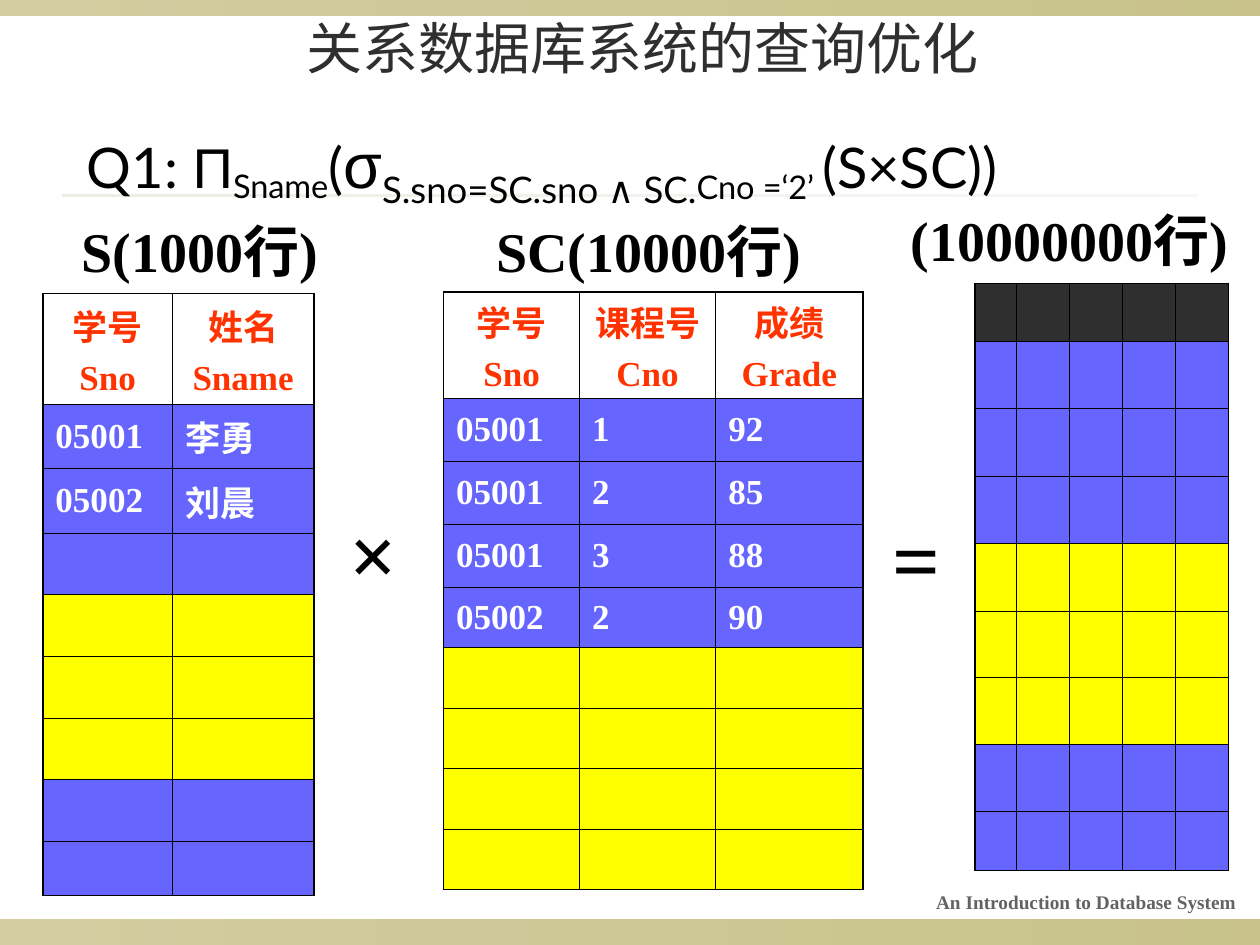
"""Build the slide on query optimisation with a Cartesian product of two tables."""
import dataclasses
import typing

import lxml.etree
import pptx
import pptx.dml.color
import pptx.enum.shapes
import pptx.enum.text
import pptx.oxml.ns
import pptx.slide
import pptx.util

Inches = pptx.util.Inches
Pt = pptx.util.Pt
qn = pptx.oxml.ns.qn
ALIGN = pptx.enum.text.PP_ALIGN
MIDDLE = pptx.enum.text.MSO_ANCHOR.MIDDLE
TOP = pptx.enum.text.MSO_ANCHOR.TOP

COLORS = {
    "olive": "918415", "rule": "DCD9CC", "dark": "2F2F2F", "black": "000000",
    "gray": "636363", "red": "FF3300", "white": "FFFFFF",
    "blue": "6666FF", "yellow": "FFFF00",
}
SERIF = "Times New Roman"
THIN, THICK = 0.45, 1.08


@dataclasses.dataclass
class Band:
    box: tuple[float, float, float, float]
    color: str
    alphas: tuple[int, int]


@dataclasses.dataclass
class Run:
    text: str
    size: float = 32
    font: str = SERIF
    bold: bool = False
    color: str = "black"
    baseline: int = 0


@dataclasses.dataclass
class Label:
    box: tuple[float, float, float, float]
    runs: list[Run]
    para: dict[str, typing.Any] = dataclasses.field(default_factory=dict)
    anchor: typing.Any = TOP
    wrap: bool = False
    margin: float = 0


@dataclasses.dataclass
class Grid:
    left: float
    top: float
    cols: list[float]
    rows: list[float]
    fills: list[str | None]
    texts: list[list[str]]


BANDS = [
    Band((0, 7.3, 10, 0.2), "olive", (40, 50)),
    Band((0, 0, 10, 0.12), "olive", (40, 50)),
    Band((0.5, 1.54, 9, 0.02), "rule", (50, 20)),
]
FORMULA = [
    Run("Q1: ", font="Lato"),
    Run("Π", font="Arial"),
    Run("Sname", font="Lato", baseline=-18),
    Run("(", font="Lato"),
    Run("σ", 36, "Arial"),
    Run("S.sno=SC.sno ∧ SC.", 36, "Lato", baseline=-25),
    Run("Cno =‘2’ ", font="Lato", baseline=-20),
    Run("(S×SC))", font="Lato"),
]
CENTER = {"alignment": ALIGN.CENTER}
OPERATOR = {"alignment": ALIGN.CENTER, "space_before": Pt(30)}
LABELS = [
    Label((0.75, 0.04, 8.5, 0.67), [Run("关系数据库系统的查询优化", font="Lato", color="dark")],
          CENTER, MIDDLE, True, 0.2),
    Label((0.25, 0.74, 9.58, 1.1), FORMULA, {"line_spacing": 1.3}, wrap=True, margin=0.34),
    Label((5.83, 7, 4.08, 0.31),
          [Run("An Introduction to Database System", 11, bold=True, color="gray")],
          {"alignment": ALIGN.RIGHT}, MIDDLE, True),
    Label((0.42, 1.67, 2.33, 0.64), [Run("S(1000行)", bold=True)], CENTER, wrap=True),
    Label((3.84, 1.67, 3, 0.64), [Run("SC(10000行)", bold=True)], wrap=True),
    Label((2.67, 3.93, 0.58, 0.9), [Run("×", 48, bold=True)], OPERATOR),
    Label((6.98, 3.97, 0.58, 0.9), [Run("=", 48, bold=True)], OPERATOR),
    Label((7.13, 1.58, 3.1, 0.64), [Run("(10000000行)", bold=True)], wrap=True),
]
GRIDS = [
    Grid(0.34, 2.33, [1.03, 1.12], [0.88] + [0.51] * 2 + [0.49] * 5 + [0.43],
         [None] + ["blue"] * 3 + ["yellow"] * 3 + ["blue"] * 2,
         [["学号\nSno", "姓名\nSname"], ["05001", "李勇"], ["05002", "刘晨"]]),
    Grid(3.52, 2.32, [1.08, 1.08, 1.17], [0.84] + [0.5] * 3 + [0.48] * 5,
         [None] + ["blue"] * 4 + ["yellow"] * 4,
         [["学号\nSno", "课程号\nCno", "成绩\nGrade"], ["05001", "1", "92"],
          ["05001", "2", "85"], ["05001", "3", "88"], ["05002", "2", "90"]]),
    Grid(7.74, 2.25, [0.33] + [0.42] * 4, [0.46] + [0.53, 0.54] * 2 + [0.53] * 3 + [0.47],
         ["dark"] + ["blue"] * 3 + ["yellow"] * 3 + ["blue"] * 2, []),
]


def rgb(name: str) -> pptx.dml.color.RGBColor:
    """Return the named colour."""
    return pptx.dml.color.RGBColor.from_string(COLORS[name])


def apply(target: typing.Any, values: dict[str, typing.Any]) -> None:
    """Set each named attribute on the target."""
    for name, value in values.items():
        setattr(target, name, value)


def add_run(p: typing.Any, run: Run) -> None:
    """Append a formatted run to a paragraph."""
    r = p.add_run()
    apply(r, {"text": run.text})
    apply(r.font, {"size": Pt(run.size), "name": run.font, "bold": run.bold})
    r.font.color.rgb = rgb(run.color)
    if run.baseline:
        r._r.get_or_add_rPr().set("baseline", str(run.baseline * 1000))


def add_band(s: pptx.slide.Slide, band: Band) -> None:
    """Draw a translucent horizontal gradient bar."""
    sp = s.shapes.add_shape(pptx.enum.shapes.MSO_SHAPE.RECTANGLE, *map(Inches, band.box))
    sp.shadow.inherit = False
    sp.line.fill.background()
    sp.fill.gradient()
    sp.fill.gradient_angle = 0
    for stop in sp.fill.gradient_stops:
        stop.color.rgb = rgb(band.color)
    for clr, alpha in zip(sp.element.spPr.iter(qn("a:srgbClr")), band.alphas):
        lxml.etree.SubElement(clr, qn("a:alpha"), val=str(alpha * 1000))


def add_label(s: pptx.slide.Slide, label: Label) -> None:
    """Draw a one-paragraph text box."""
    tf = s.shapes.add_textbox(*map(Inches, label.box)).text_frame
    apply(tf, {"word_wrap": label.wrap, "vertical_anchor": label.anchor,
               "margin_left": Inches(0.1 + label.margin)})
    p = tf.paragraphs[0]
    apply(p, label.para)
    for run in label.runs:
        add_run(p, run)


def set_borders(cell: typing.Any, widths: dict[str, float]) -> None:
    """Give the cell black borders of the given widths in points."""
    tcPr = cell._tc.get_or_add_tcPr()
    for i, (side, width) in enumerate(widths.items()):
        ln = lxml.etree.Element(qn(f"a:ln{side}"), w=str(Pt(width)))
        fill = lxml.etree.SubElement(ln, qn("a:solidFill"))
        lxml.etree.SubElement(fill, qn("a:srgbClr"), val=COLORS["black"])
        tcPr.insert(i, ln)


def add_grid(s: pptx.slide.Slide, grid: Grid) -> None:
    """Draw a table with thick outer and thin inner borders."""
    n, m = len(grid.rows), len(grid.cols)
    size = (grid.left, grid.top, sum(grid.cols), sum(grid.rows))
    table = s.shapes.add_table(n, m, *map(Inches, size)).table
    apply(table, {"first_row": False, "horz_banding": False})
    for col, width in zip(table.columns, grid.cols):
        col.width = Inches(width)
    for row, height in zip(table.rows, grid.rows):
        row.height = Inches(height)
    for i, fill in enumerate(grid.fills):
        for j in range(m):
            cell = table.cell(i, j)
            cell.vertical_anchor = MIDDLE
            if fill:
                cell.fill.solid()
                cell.fill.fore_color.rgb = rgb(fill)
            else:
                cell.fill.background()
            edges = {"L": j == 0, "R": j == m - 1, "T": i == 0, "B": i == n - 1}
            set_borders(cell, {side: THICK if outer else THIN for side, outer in edges.items()})
            if i < len(grid.texts):
                fill_cell(cell, grid.texts[i][j], i == 0)


def fill_cell(cell: typing.Any, text: str, header: bool) -> None:
    """Write the cell's lines as header or body paragraphs."""
    margin = Inches(0.02 if header else 0.05)
    apply(cell, {"margin_top": margin, "margin_bottom": margin})
    tf = cell.text_frame
    for k, line in enumerate(text.split("\n")):
        p = tf.add_paragraph() if k else tf.paragraphs[0]
        apply(p, {"space_before": Pt(5), "alignment": ALIGN.CENTER if header else ALIGN.LEFT})
        add_run(p, Run(line, 20, bold=True, color="red" if header else "white"))


def main() -> None:
    """Build and save the slide."""
    prs = pptx.Presentation()
    apply(prs, {"slide_width": Inches(10), "slide_height": Inches(7.5)})
    s = prs.slides.add_slide(prs.slide_layouts[6])
    for draw, items in ((add_band, BANDS), (add_grid, GRIDS), (add_label, LABELS)):
        for item in items:
            draw(s, item)
    prs.save("out.pptx")


if __name__ == "__main__":
    main()
